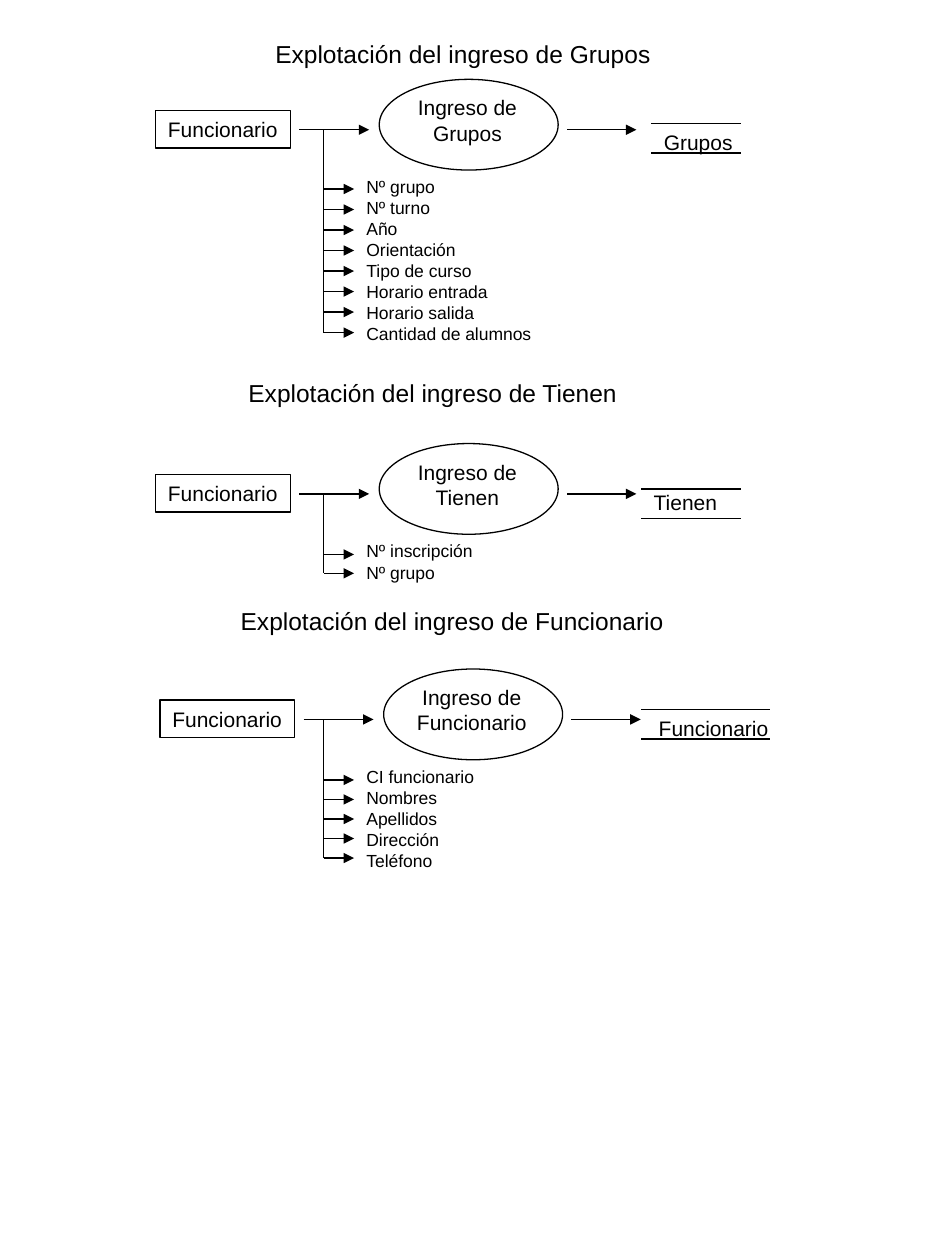
from dataclasses import dataclass

from lxml import etree
from pptx import Presentation
from pptx import util as u
from pptx.dml.color import RGBColor
from pptx.enum import shapes, text
from pptx.oxml.ns import qn


@dataclass(frozen=True)
class Theme:
    ink: RGBColor = RGBColor(0, 0, 0)
    font: str = "Arial"
    title: float = 14
    label: float = 12
    field: float = 10
    line: float = 0.75


@dataclass(frozen=True)
class Flow:
    """One diagram; positions are in grid cells, row is the top of the process."""
    title: str
    title_at: tuple
    process: str
    row: float
    shift: float
    fields: tuple
    field_rows: tuple
    fields_width: float
    store: str
    store_cols: tuple
    store_row: float
    store_text: tuple


THEME = Theme()
COLS, ROWS = 75, 100
WIDTH, HEIGHT = u.Inches(7.5), u.Inches(10)
STEM, FIELD_END = 25.7, 28.1

FLOWS = (
    Flow("Explotación del ingreso de Grupos", (20.2, 2.6, 33.1),
         "Ingreso de Grupos", 6.3, 0,
         ("Nº grupo", "Nº turno", "Año", "Orientación", "Tipo de curso",
          "Horario entrada", "Horario salida", "Cantidad de alumnos"),
         (15, 26.4), 15.8, "Grupos", (51.7, 58.8), 9.8, (51.7, 9.8)),
    Flow("Explotación del ingreso de Tienen", (17.8, 29.5, 33.1),
         "Ingreso de Tienen", 35.2, 0,
         ("Nº inscripción", "Nº grupo"),
         (44, 45.5), 17.3, "Tienen", (50.9, 58.8), 38.8, (50.9, 38.4)),
    Flow("Explotación del ingreso de Funcionario", (17, 47.6, 37.8),
         "Ingreso de Funcionario", 53.1, 0.35,
         ("CI funcionario", "Nombres", "Apellidos", "Dirección", "Teléfono"),
         (61.9, 68.1), 17.7, "Funcionario", (50.9, 61.1), 56.3, (51.3, 56.3)),
)


def x(cols):
    return round(WIDTH * cols / COLS)


def y(rows):
    return round(HEIGHT * rows / ROWS)


def area(col, row, cols, rows):
    return x(col), y(row), x(cols), y(rows)


def write(sp, lines, size, align=text.PP_ALIGN.LEFT, wrap=True):
    tf = sp.text_frame
    tf.word_wrap = wrap
    tf.vertical_anchor = text.MSO_ANCHOR.TOP
    for i, line in enumerate(lines):
        p = tf.add_paragraph() if i else tf.paragraphs[0]
        p.alignment = align
        r = p.add_run()
        r.text = line
        r.font.name = THEME.font
        r.font.size = u.Pt(size)
        r.font.color.rgb = THEME.ink


def add_label(parent, box, lines, size, align=text.PP_ALIGN.LEFT):
    write(parent.add_textbox(*area(*box)), lines, size, align)


def add_outline(parent, kind, box):
    sp = parent.add_shape(kind, *area(*box))
    sp.shadow.inherit = False
    sp.fill.background()
    sp.line.color.rgb = THEME.ink
    sp.line.width = u.Pt(THEME.line)
    return sp


def add_line(parent, start, end, arrow=False):
    c = parent.add_connector(shapes.MSO_CONNECTOR.STRAIGHT,
                             x(start[0]), y(start[1]), x(end[0]), y(end[1]))
    c.line.color.rgb = THEME.ink
    c.line.width = u.Pt(THEME.line)
    if arrow:
        ln = c.line._get_or_add_ln()
        etree.SubElement(ln, qn("a:tailEnd"), type="triangle")
    etree.SubElement(c._element.spPr, qn("a:effectLst"))


def add_fields(parent, flow, stem_top):
    """Stem with one evenly spaced arrow for each data field."""
    first, last = flow.field_rows
    step = (last - first) / (len(flow.fields) - 1)
    add_line(parent, (STEM, stem_top), (STEM, last))
    for i in range(len(flow.fields)):
        row = first + i * step
        add_line(parent, (STEM, row), (FIELD_END, row), arrow=True)
    height = 1 + 1.68 * len(flow.fields)
    add_label(parent, (FIELD_END, flow.row + 7.2, flow.fields_width, height),
              flow.fields, THEME.field)


def add_store(parent, flow):
    left, right = flow.store_cols
    for row in (flow.store_row, flow.store_row + 2.35):
        add_line(parent, (left, row), (right, row))
    add_label(parent, (*flow.store_text, 13.4, 3), [flow.store], THEME.label)


def add_flow(slide, flow):
    col, row, width = flow.title_at
    add_label(slide.shapes, (col, row, width, 3.4), [flow.title],
              THEME.title, text.PP_ALIGN.CENTER)
    parent = slide.shapes.add_group_shape().shapes
    dx, middle = flow.shift, flow.row + 4
    actor = add_outline(parent, shapes.MSO_SHAPE.RECTANGLE,
                        (12.35 + dx, flow.row + 2.45, 10.7, 3))
    write(actor, ["Funcionario"], THEME.label, wrap=False)
    add_outline(parent, shapes.MSO_SHAPE.OVAL,
                (30.1 + dx, flow.row, 14.2, 7.2))
    add_label(parent, (30.4 + dx, flow.row + 0.75, 13.4, 5), [flow.process],
              THEME.label, text.PP_ALIGN.CENTER)
    for start, end in ((23.75, 29.3), (45, 50.5)):
        add_line(parent, (start + dx, middle), (end + dx, middle), arrow=True)
    add_fields(parent, flow, middle)
    add_store(parent, flow)


def main():
    prs = Presentation()
    prs.slide_width, prs.slide_height = WIDTH, HEIGHT
    slide = prs.slides.add_slide(prs.slide_layouts[6])
    for flow in FLOWS:
        add_flow(slide, flow)
    prs.save("out.pptx")


if __name__ == "__main__":
    main()
